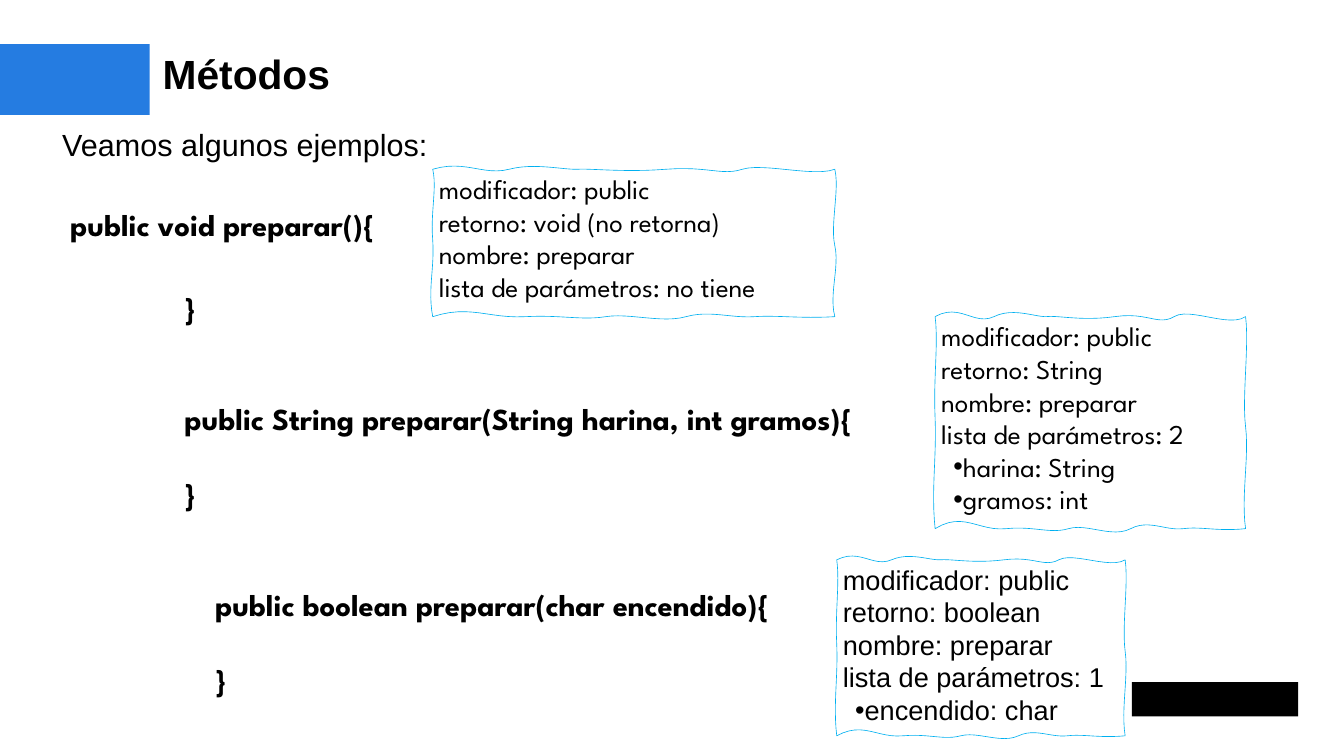
from lxml import etree
from pptx import Presentation
from pptx.dml.color import RGBColor
from pptx.enum.shapes import MSO_SHAPE
from pptx.oxml.ns import qn
from pptx.util import Inches, Pt

RECTANGLE = MSO_SHAPE.RECTANGLE
BLUE = RGBColor(0x25, 0x7C, 0xE1)
SKY = RGBColor(0x00, 0xB0, 0xF0)
BLACK = RGBColor(0, 0, 0)
SANS, SPARTAN = "Arial", "League Spartan"

# Places are left, top, width, height in percent of the slide.
BAND = (0, 5.82, 11.14, 9.38)
LOGO_BLOCK = (84.22, 90.22, 12.37, 4.53)
TITLE_PLACE = (12.1, 6.5, 84.5, 6.55)
CODE_PLACE = (3.91, 16.98, 92.8, 79.5)

TITLE = "Métodos"
# text, font, bold, indent in inches, points before
CODE_LINES = [
    ("Veamos algunos ejemplos:", SANS, False, 0.06, 0),
    ("public void preparar(){", SPARTAN, True, 0.19, 57),
    ("}", SPARTAN, True, 2.06, 61),
    ("public String preparar(String harina, int gramos){", SPARTAN, True, 2.06, 94),
    ("}", SPARTAN, True, 2.06, 51),
    ("public boolean preparar(char encendido){", SPARTAN, True, 2.56, 94),
    ("}", SPARTAN, True, 2.56, 51),
]
# place, font, plain lines, bulleted parameters
NOTES = [
    ((32.2, 22.39, 29.92, 19.5), SPARTAN,
     ["modificador: public", "retorno: void (no retorna)",
      "nombre: preparar", "lista de parámetros: no tiene"], []),
    ((69.58, 41.88, 23.1, 28.05), SPARTAN,
     ["modificador: public", "retorno: String",
      "nombre: preparar", "lista de parámetros: 2"],
     ["harina: String", "gramos: int"]),
    ((62.26, 74.05, 21.46, 23.28), SANS,
     ["modificador: public", "retorno: boolean",
      "nombre: preparar", "lista de parámetros: 1"],
     ["encendido: char"]),
]
# Bezier curves from the top left corner, in percent of the note:
# two control points and an end point each.
WAVY_EDGE = [
    ((8, -6.6), (12.6, 4.5), (19, 0)),
    ((25.2, -4.5), (32.4, 0.4), (36, 0)),
    ((39.7, -0.6), (47.4, 2.2), (58, 0)),
    ((68.5, -2.2), (71.9, 4.5), (77, 0)),
    ((82.1, -4.5), (94.8, 5.4), (100, 0)),
    ((101.2, 14), (98.8, 37.7), (100, 52)),
    ((101.2, 66), (98.5, 85), (100, 100)),
    ((91.2, 101.4), (85.6, 98.9), (80, 100)),
    ((74.3, 101.1), (68.8, 95.5), (63, 100)),
    ((57.1, 104.6), (48.8, 97.4), (43, 100)),
    ((37.1, 102.6), (32, 98.7), (23, 100)),
    ((14, 101.4), (9.2, 91.7), (0, 100)),
    ((-1.3, 81.8), (0.5, 66.7), (0, 48)),
    ((-0.6, 29), (1.1, 13), (0, 0)),
]
CURVE_STEPS = 12

deck = Presentation()
deck.slide_width, deck.slide_height = Inches(21.99), Inches(12.37)
slide = deck.slides.add_slide(deck.slide_layouts[6])


def on_slide(place):
    sides = (deck.slide_width, deck.slide_height) * 2
    return [round(share * side / 100) for share, side in zip(place, sides)]


def add_block(place, color):
    block = slide.shapes.add_shape(RECTANGLE, *on_slide(place))
    block.shadow.inherit = False
    block.fill.solid()
    block.fill.fore_color.rgb = color
    block.line.fill.background()


def style(paragraph, font_name, size, bold=False):
    for run in paragraph.runs:
        run.font.name, run.font.size, run.font.bold = font_name, Pt(size), bold
        run.font.color.rgb = BLACK


def set_indent(paragraph, left, first=0):
    properties = paragraph._p.get_or_add_pPr()
    properties.set("marL", str(Inches(left)))
    properties.set("indent", str(Inches(first)))
    return properties


def wavy_points():
    """Sample the wavy edge as points in percent of the note."""
    start, points = (0, 0), []
    for first, second, end in WAVY_EDGE:
        for step in range(1, CURVE_STEPS + 1):
            t = step / CURVE_STEPS
            u = 1 - t
            points.append(tuple(
                u**3 * a + 3 * u * u * t * b + 3 * u * t * t * c + t**3 * d
                for a, b, c, d in zip(start, first, second, end)))
        start = end
    return points


def add_note(place, font_name, lines, parameters):
    left, top, width, height = on_slide(place)
    builder = slide.shapes.build_freeform(left, top)
    builder.add_line_segments(
        [(left + x * width / 100, top + y * height / 100) for x, y in wavy_points()])
    note = builder.convert_to_shape()
    note.shadow.inherit = False
    note.fill.background()
    note.line.color.rgb = SKY
    note.line.width = Pt(0.75)

    frame = note.text_frame
    frame.word_wrap = True
    # The waves pass the corners, so the margins start from the corners.
    frame.margin_left = left - note.left + Inches(0.1)
    frame.margin_top = top - note.top + Inches(0.05)
    frame.margin_right = frame.margin_bottom = 0
    frame.vertical_anchor = TOP
    frame.text = "\n".join(lines + parameters)
    for index, paragraph in enumerate(frame.paragraphs):
        paragraph.alignment = LEFT
        paragraph.line_spacing = Pt(38.4)
        if index >= len(lines):
            properties = set_indent(paragraph, 0.31, -0.11)
            etree.SubElement(properties, qn("a:buFont")).set("typeface", SANS)
            etree.SubElement(properties, qn("a:buChar")).set("char", "•")
        style(paragraph, font_name, 32)


from pptx.enum.text import MSO_ANCHOR, PP_ALIGN

TOP, LEFT = MSO_ANCHOR.TOP, PP_ALIGN.LEFT

add_block(BAND, BLUE)
add_block(LOGO_BLOCK, BLACK)

title = slide.shapes.add_textbox(*on_slide(TITLE_PLACE)).text_frame
title.word_wrap = True
title.margin_left = title.margin_top = title.margin_right = title.margin_bottom = 0
title.text = TITLE
style(title.paragraphs[0], SANS, 48, True)

code = slide.shapes.add_textbox(*on_slide(CODE_PLACE)).text_frame
code.word_wrap = True
code.text = "\n".join(line[0] for line in CODE_LINES)
for paragraph, (_, font_name, bold, indent, before) in zip(code.paragraphs, CODE_LINES):
    set_indent(paragraph, indent)
    paragraph.line_spacing = Pt(37)
    paragraph.space_before = Pt(before)
    style(paragraph, font_name, 36, bold)

for note_content in NOTES:
    add_note(*note_content)

deck.save("out.pptx")
